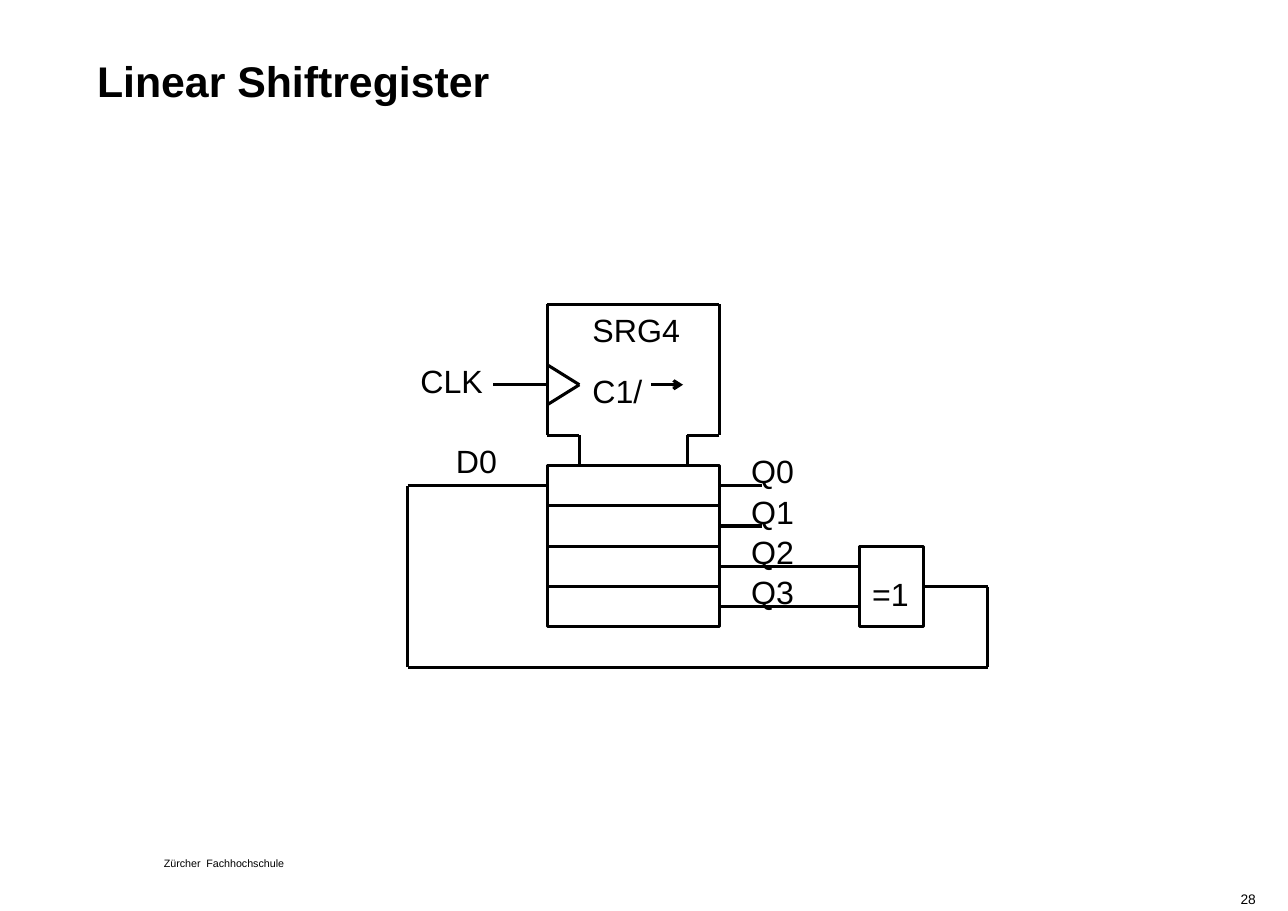
from dataclasses import dataclass

from lxml import etree
from pptx import Presentation
from pptx.dml.color import RGBColor
from pptx.enum.shapes import MSO_CONNECTOR, MSO_SHAPE
from pptx.enum.text import PP_ALIGN
from pptx.oxml.ns import qn
from pptx.util import Cm, Pt

STRAIGHT = MSO_CONNECTOR.STRAIGHT
RECTANGLE = MSO_SHAPE.RECTANGLE
LEFT, CENTER, RIGHT = PP_ALIGN.LEFT, PP_ALIGN.CENTER, PP_ALIGN.RIGHT
SIDE_LEFT, SIDE_RIGHT = 1, 3


@dataclass(frozen=True)
class Theme:
    font: str = "Arial"
    ink: RGBColor = RGBColor(0, 0, 0)
    title: int = 28
    label: int = 21
    page: int = 9
    footer: int = 7
    line: int = 2


THEME = Theme()


def add_text(s, text, x, y, w, h, size=THEME.label, bold=False, align=LEFT,
             wrap=True, inset=(0, 0), spacing=None):
    tf = s.shapes.add_textbox(Cm(x), Cm(y), Cm(w), Cm(h)).text_frame
    tf.word_wrap = wrap
    tf.margin_left = tf.margin_right = Cm(inset[0])
    tf.margin_top = tf.margin_bottom = Cm(inset[1])
    p = tf.paragraphs[0]
    p.alignment = align
    if spacing:
        p.line_spacing = Pt(spacing)
    r = p.add_run()
    r.text = text
    r.font.name, r.font.size, r.font.bold = THEME.font, Pt(size), bold
    r.font.color.rgb = THEME.ink


def add_label(s, text, x, y, w):
    add_text(s, text, x, y, w, 1.12, align=CENTER, wrap=False,
             inset=(0.28, 0.15))


def add_box(s, x, y, w, h):
    sp = s.shapes.add_shape(RECTANGLE, Cm(x), Cm(y), Cm(w), Cm(h))
    sp.shadow.inherit = False
    sp.fill.background()
    sp.line.color.rgb = THEME.ink
    sp.line.width = Pt(THEME.line)
    return sp


def add_wire(s, *points, start=None, end=None, arrow=False):
    """Draw straight segments through points; start and end are (shape, side)."""
    segments = []
    for (x1, y1), (x2, y2) in zip(points, points[1:]):
        c = s.shapes.add_connector(STRAIGHT, Cm(x1), Cm(y1), Cm(x2), Cm(y2))
        c.line.color.rgb = THEME.ink
        c.line.width = Pt(THEME.line)
        etree.SubElement(c._element.spPr, qn("a:effectLst"))
        segments.append(c)
    if start:
        segments[0].begin_connect(*start)
    if end:
        segments[-1].end_connect(*end)
    if arrow:
        ln = segments[-1].line._get_or_add_ln()
        etree.SubElement(ln, qn("a:tailEnd"), type="arrow")


def draw_control_block(s, x, y, w, h, neck):
    notch = 0.74
    right, bottom = x + w, y + h
    clock = y + 1.86

    # Outline with the narrow neck
    add_wire(s, (x + notch, bottom + neck), (x + notch, bottom), (x, bottom),
             (x, y), (right, y), (right, bottom), (right - notch, bottom),
             (right - notch, bottom + neck))

    # Clock input
    add_wire(s, (x, clock - 0.46), (x + notch, clock), (x, clock + 0.46))
    add_wire(s, (x, clock), (x - 1.24, clock))
    add_label(s, "CLK", x - 3.22, clock - 0.69, 2.03)

    # Function and shift direction
    add_label(s, "SRG4", x + notch, y, 2.62)
    add_label(s, "C1/", x + notch, y + 1.4, 1.75)
    add_wire(s, (x + 2.39, clock), (x + 3.13, clock), arrow=True)


def draw_register(s, x, y, w, row_h):
    right = x + w
    xor_x, xor_w = x + 7.19, 1.48
    rows = [add_box(s, x, y + i * row_h, w, row_h) for i in range(4)]
    xor = add_box(s, xor_x, y + 2 * row_h, xor_w, 2 * row_h)

    # Outputs: the last two feed the XOR gate
    for i, row in enumerate(rows):
        mid = y + (i + 0.5) * row_h
        stop = xor_x if i >= 2 else right + 0.99
        add_wire(s, (right, mid), (stop, mid), start=(row, SIDE_RIGHT))
        add_label(s, f"Q{i}", right + 0.44, mid - row_h, 1.57)
    add_label(s, "=1", xor_x, y + 2.35, 1.45)

    # Feedback loop into D0
    loop_left, loop_right, loop_bottom = x - 3.22, x + 10.16, y + 5 * row_h
    out, d0 = y + 3 * row_h, y + row_h / 2
    add_wire(s, (xor_x + xor_w, out), (loop_right, out),
             (loop_right, loop_bottom), (loop_left, loop_bottom),
             (loop_left, d0), (x, d0),
             start=(xor, SIDE_RIGHT), end=(rows[0], SIDE_LEFT))
    add_label(s, "D0", x - 2.41, y - 0.7, 1.55)


def draw_frame(s, x, y, w, h):
    add_text(s, "Linear Shiftregister", x + 2.24, y + 1.32, w - 4.45, 3.5,
             size=THEME.title, bold=True, spacing=32)
    add_text(s, "Zürcher  Fachhochschule", x + 3.78, y + h - 1.21, 3.35, 0.25,
             size=THEME.footer, spacing=7)
    add_text(s, "28", x + w - 4.12, y + h - 0.47, 3.38, 0.4,
             size=THEME.page, align=RIGHT)


def main():
    prs = Presentation()
    prs.slide_width, prs.slide_height = Cm(29.7), Cm(21)
    s = prs.slides.add_slide(prs.slide_layouts[6])
    draw_frame(s, 0, 0, 29.7, 21)
    draw_control_block(s, 12.62, 7.01, 3.97, 3.02, 0.7)
    draw_register(s, 12.62, 10.73, 3.97, 0.93)
    prs.save("out.pptx")


if __name__ == "__main__":
    main()
